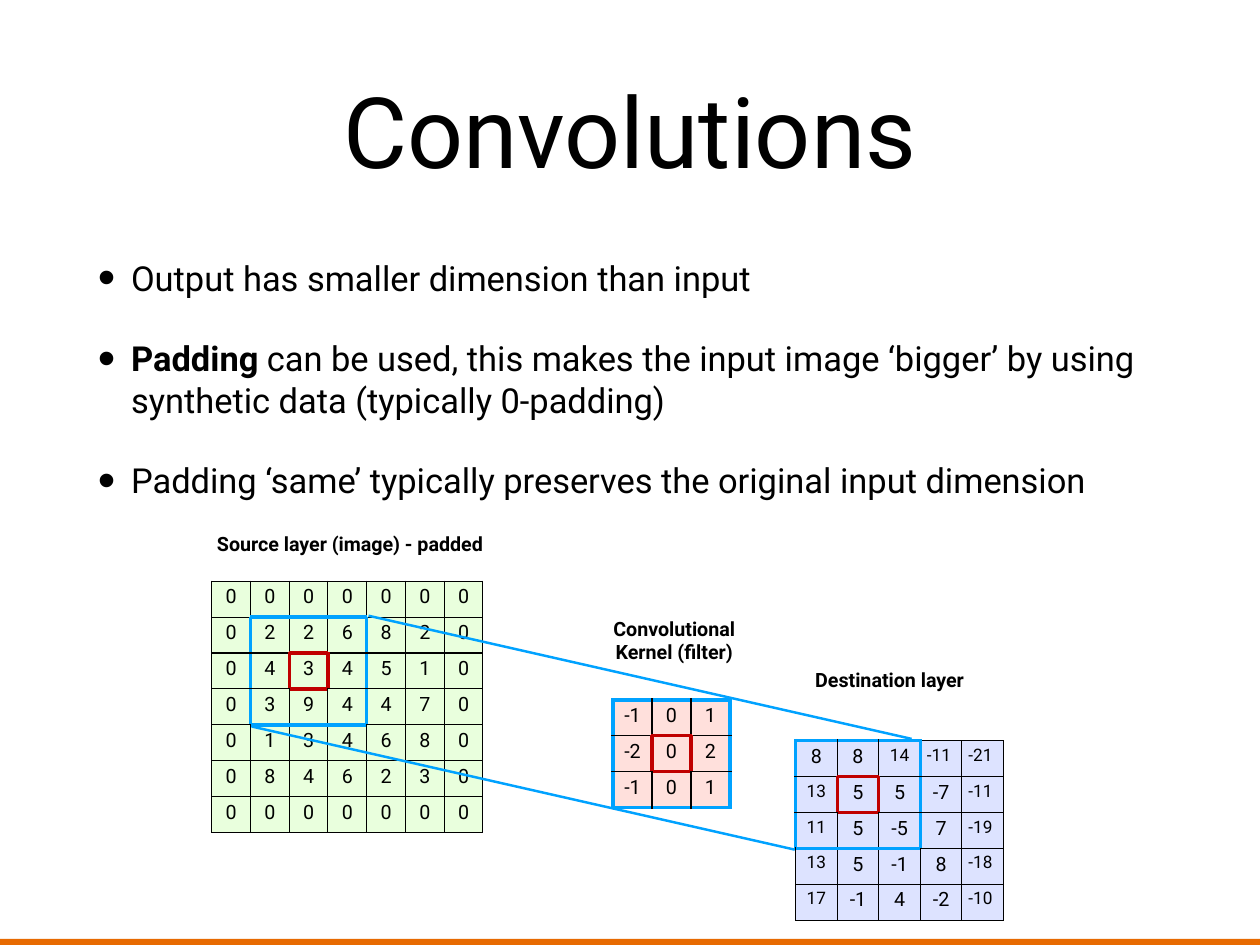
import dataclasses

import lxml.etree
import pptx
import pptx.dml.color
import pptx.enum.shapes
import pptx.enum.text
import pptx.oxml.ns
import pptx.util

Pt = pptx.util.Pt
qn = pptx.oxml.ns.qn


@dataclasses.dataclass(frozen=True)
class Theme:
    font: str = "Roboto"
    ink: str = "000000"
    accent: str = "E76A01"
    window: str = "00A2FF"
    focus: str = "C00000"
    source: str = "E9FFDD"
    kernel: str = "FFE0DC"
    destination: str = "DDE3FF"
    title_size: int = 80
    body_size: int = 28
    label_size: int = 16
    long_number_size: int = 14


theme = Theme()


def rgb(code):
    return pptx.dml.color.RGBColor.from_string(code)


def write(paragraph, text, size=theme.label_size, bold=False, color=theme.ink, align=None):
    run = paragraph.add_run()
    run.text = text
    run.font.name = theme.font
    run.font.size = Pt(size)
    run.font.bold = bold
    run.font.color.rgb = rgb(color)
    if align is not None:
        paragraph.alignment = align


CENTER = pptx.enum.text.PP_ALIGN.CENTER

deck = pptx.Presentation()
deck.slide_width, deck.slide_height = Pt(1024), Pt(768)
slide = deck.slides.add_slide(deck.slide_layouts[1])
title, points = slide.placeholders

# Title and body frames
frames = [
    (title, (75, 20, 874, 170), pptx.enum.text.MSO_ANCHOR.MIDDLE),
    (points, (75, 204, 904, 495), pptx.enum.text.MSO_ANCHOR.TOP),
]
for holder, box, anchor in frames:
    holder.left, holder.top, holder.width, holder.height = map(Pt, box)
    frame = holder.text_frame
    frame.auto_size = pptx.enum.text.MSO_AUTO_SIZE.NONE
    frame.word_wrap = True
    frame.vertical_anchor = anchor
    frame.margin_left = frame.margin_right = Pt(4.5)
    frame.margin_top = frame.margin_bottom = Pt(4.5)

write(title.text_frame.paragraphs[0], "Convolutions", size=theme.title_size, align=CENTER)

# Bulleted statements, each a list of (text, bold) pieces
statements = [
    [("Output has smaller dimension than input", False)],
    [("Padding", True),
     (" can be used, this makes the input image ‘bigger’ by using "
      "synthetic data (typically 0-padding)", False)],
    [("Padding ‘same’ typically preserves the original input dimension", False)],
]
for index, pieces in enumerate(statements):
    body = points.text_frame
    statement = body.add_paragraph() if index else body.paragraphs[0]
    statement.space_before = Pt(32)
    for text, bold in pieces:
        write(statement, text, size=theme.body_size, bold=bold)
    settings = statement._p.get_or_add_pPr()
    settings.set("marL", str(Pt(27)))
    settings.set("indent", str(-Pt(27)))
    lxml.etree.SubElement(settings, qn("a:buSzPct"), val="145000")
    lxml.etree.SubElement(settings, qn("a:buChar"), char="•")

# Bottom bar
bar = slide.shapes.add_shape(
    pptx.enum.shapes.MSO_SHAPE.RECTANGLE, Pt(0), Pt(763), Pt(1024), Pt(5))
bar.shadow.inherit = False
bar.fill.solid()
bar.fill.fore_color.rgb = rgb(theme.accent)
bar.line.fill.background()

# Number grids: left, top, column width, fill, centre of the 3 x 3 window, values
ROW_HEIGHT = 29.2
grids = [
    (172, 472.3, 31.5, theme.source, (2, 2), [
        [0, 0, 0, 0, 0, 0, 0],
        [0, 2, 2, 6, 8, 2, 0],
        [0, 4, 3, 4, 5, 1, 0],
        [0, 3, 9, 4, 4, 7, 0],
        [0, 1, 3, 4, 6, 8, 0],
        [0, 8, 4, 6, 2, 3, 0],
        [0, 0, 0, 0, 0, 0, 0]]),
    (646.6, 601.9, 33.8, theme.destination, (1, 1), [
        [8, 8, 14, -11, -21],
        [13, 5, 5, -7, -11],
        [11, 5, -5, 7, -19],
        [13, 5, -1, 8, -18],
        [17, -1, 4, -2, -10]]),
    (498.2, 568.8, 31.7, theme.kernel, (1, 1), [
        [-1, 0, 1],
        [-2, 0, 2],
        [-1, 0, 1]]),
]
sides = [("a:lnL", 0, -1), ("a:lnR", 0, 1), ("a:lnT", -1, 0), ("a:lnB", 1, 0)]

for left, top, column_width, fill, (focus_row, focus_column), values in grids:
    count = len(values)
    grid = slide.shapes.add_table(
        count, count, Pt(left), Pt(top),
        Pt(column_width * count), Pt(ROW_HEIGHT * count)).table
    grid.first_row = grid.horz_banding = False
    for column in grid.columns:
        column.width = Pt(column_width)
    for row in grid.rows:
        row.height = Pt(ROW_HEIGHT)

    for r, numbers in enumerate(values):
        for c, number in enumerate(numbers):
            cell = grid.cell(r, c)
            cell.fill.solid()
            cell.fill.fore_color.rgb = rgb(fill)
            if number <= -10:
                cell.margin_left = Pt(3.6)
            size = theme.long_number_size if abs(number) >= 10 else theme.label_size
            write(cell.text_frame.paragraphs[0], str(number), size=size, align=CENTER)

            # An edge is red around the centre, blue around the window, else black
            distance = max(abs(r - focus_row), abs(c - focus_column))
            for position, (tag, down, right) in enumerate(sides):
                beyond = max(abs(r + down - focus_row), abs(c + right - focus_column))
                edge_color, edge_width = theme.ink, 1
                if (distance == 0) != (beyond == 0):
                    edge_color, edge_width = theme.focus, 3
                elif (distance <= 1) != (beyond <= 1):
                    edge_color, edge_width = theme.window, 3
                edge = lxml.etree.Element(qn(tag), w=str(Pt(edge_width)))
                paint = lxml.etree.SubElement(edge, qn("a:solidFill"))
                lxml.etree.SubElement(paint, qn("a:srgbClr"), val=edge_color)
                cell._tc.get_or_add_tcPr().insert(position, edge)

    # Projection lines lie over the source grid and under the other two
    if fill == theme.source:
        for x, y in [(299.5, 500.4), (204.5, 590.4)]:
            projection = slide.shapes.add_connector(
                pptx.enum.shapes.MSO_CONNECTOR.STRAIGHT,
                Pt(x), Pt(y), Pt(x + 441.4), Pt(y + 100.1))
            projection.line.color.rgb = rgb(theme.window)
            projection.line.width = Pt(2)
            lxml.etree.SubElement(projection._element.spPr, qn("a:effectLst"))

# Grid captions: centre, top, width, height, lines
captions = [
    (284.5, 429, 245, 27, ["Source layer (image) - padded"]),
    (723, 539.3, 140, 27, ["Destination layer"]),
    (548, 497.5, 122, 46, ["Convolutional", "Kernel (filter)"]),
]
for center, top, width, height, lines in captions:
    caption = slide.shapes.add_textbox(
        Pt(center - width / 2), Pt(top), Pt(width), Pt(height)).text_frame
    caption.word_wrap = False
    caption.auto_size = pptx.enum.text.MSO_AUTO_SIZE.SHAPE_TO_FIT_TEXT
    for index, text in enumerate(lines):
        line = caption.add_paragraph() if index else caption.paragraphs[0]
        write(line, text, bold=True, align=CENTER)

deck.save("out.pptx")
